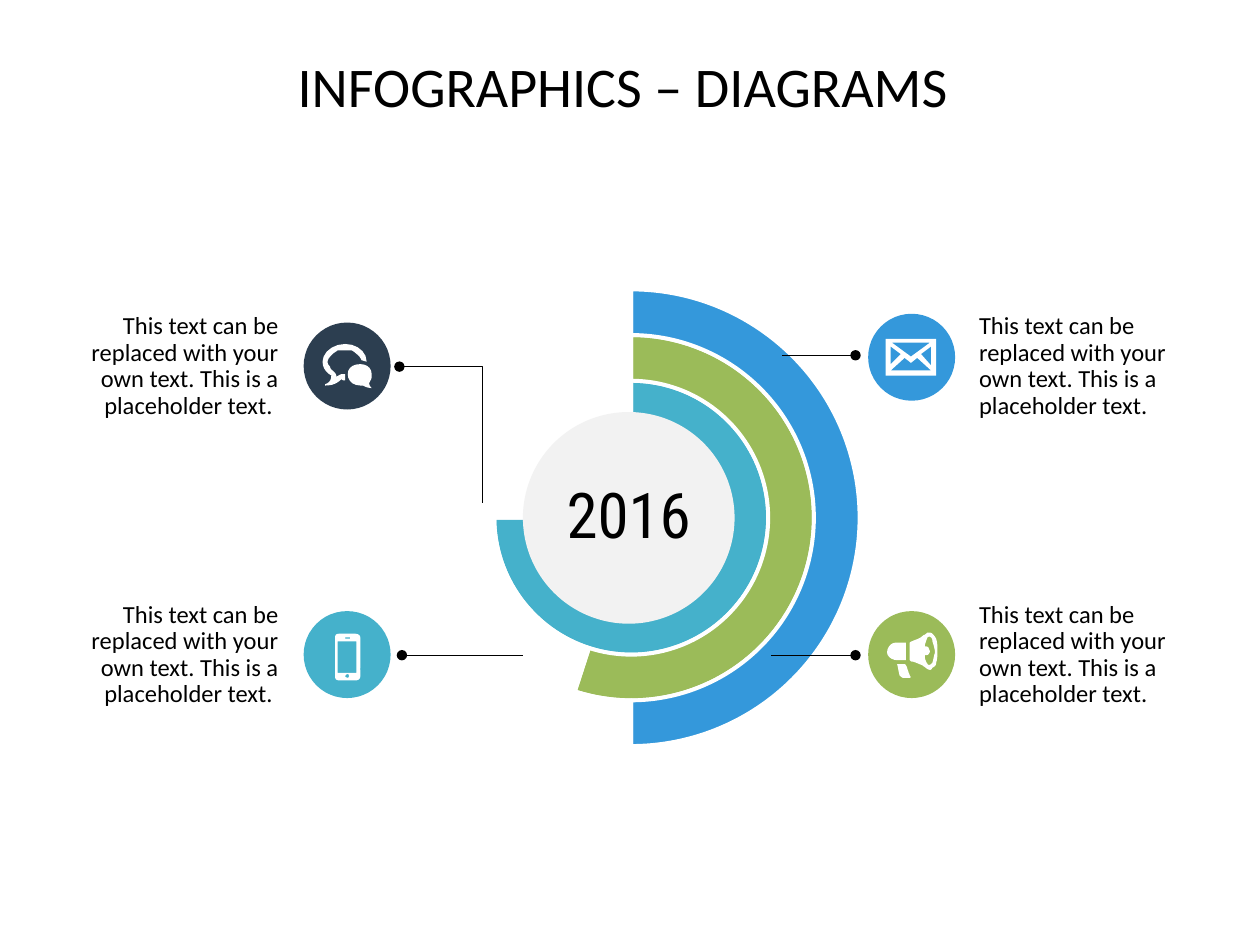
from lxml import etree
from pptx import Presentation
from pptx import util as u
from pptx.chart.data import CategoryChartData
from pptx.dml.color import RGBColor
from pptx.enum import chart as charts, shapes, text
from pptx.oxml.ns import qn

NAVY, TEAL, GREEN, BLUE = "2C3E50", "45B1CB", "9BBB59", "3498DB"
BLACK, WHITE, PALE = "000000", "FFFFFF", "F2F2F2"
PLACEHOLDER = "This text can be replaced with your own text. This is a placeholder text."
LEFT, CENTER, RIGHT = text.PP_ALIGN.LEFT, text.PP_ALIGN.CENTER, text.PP_ALIGN.RIGHT


def curve(start, *bends, steps=5):
    points = [start]
    for x1, y1, x2, y2, x3, y3 in bends:
        x0, y0 = points[-1]
        for step in range(1, steps + 1):
            t = step / steps
            weights = ((1 - t) ** 3, 3 * t * (1 - t) ** 2, 3 * t * t * (1 - t), t ** 3)
            points.append((sum(w * x for w, x in zip(weights, (x0, x1, x2, x3))),
                           sum(w * y for w, y in zip(weights, (y0, y1, y2, y3)))))
    return points


def box(left, top, right, bottom):
    return [(left, top), (right, top), (right, bottom), (left, bottom)]


ENVELOPE = [
    box(7.03, 2.69, 7.43, 2.98),
    [(7.18, 2.84), (7.07, 2.94), (7.39, 2.94), (7.28, 2.84), (7.23, 2.88)],
    [(7.08, 2.72), (7.23, 2.83), (7.38, 2.72)],
    [(7.39, 2.9), (7.39, 2.75), (7.31, 2.81)],
    [(7.15, 2.81), (7.07, 2.75), (7.07, 2.89)],
]
HORN = [
    curve((7.22, 5.24), (7.22, 5.19, 7.22, 5.14, 7.22, 5.1), (7.23, 5.09, 7.24, 5.09, 7.26, 5.08),
          (7.29, 5.07, 7.31, 5.06, 7.33, 5.04), (7.34, 5.04, 7.35, 5.03, 7.36, 5.02),
          (7.38, 5.02, 7.39, 5.02, 7.4, 5.03), (7.41, 5.04, 7.42, 5.05, 7.43, 5.07),
          (7.44, 5.1, 7.44, 5.13, 7.44, 5.17), (7.44, 5.2, 7.44, 5.23, 7.43, 5.26),
          (7.43, 5.28, 7.42, 5.29, 7.4, 5.3), (7.39, 5.32, 7.38, 5.32, 7.36, 5.31),
          (7.35, 5.3, 7.33, 5.29, 7.32, 5.28), (7.29, 5.27, 7.26, 5.25, 7.23, 5.25)),
    curve((7.34, 5.13), (7.35, 5.13, 7.36, 5.13, 7.37, 5.14), (7.37, 5.15, 7.38, 5.16, 7.38, 5.17),
          (7.38, 5.17, 7.38, 5.18, 7.37, 5.19), (7.37, 5.2, 7.35, 5.2, 7.34, 5.2),
          (7.34, 5.22, 7.34, 5.23, 7.35, 5.25), (7.35, 5.26, 7.36, 5.26, 7.36, 5.27),
          (7.37, 5.28, 7.38, 5.28, 7.39, 5.27), (7.39, 5.27, 7.4, 5.26, 7.4, 5.26),
          (7.41, 5.23, 7.41, 5.21, 7.42, 5.18), (7.42, 5.15, 7.41, 5.12, 7.4, 5.09),
          (7.4, 5.08, 7.4, 5.07, 7.39, 5.06), (7.38, 5.05, 7.37, 5.05, 7.36, 5.06),
          (7.35, 5.09, 7.34, 5.11, 7.34, 5.13)),
]
HORN_BACK = [
    curve((7.19, 5.1), (7.19, 5.15, 7.19, 5.19, 7.19, 5.24), (7.16, 5.24, 7.14, 5.24, 7.12, 5.24),
          (7.08, 5.24, 7.04, 5.21, 7.04, 5.18), (7.04, 5.14, 7.07, 5.1, 7.11, 5.1)),
]
HORN_GRIP = [
    curve((7.12, 5.27), (7.13, 5.27, 7.15, 5.27, 7.16, 5.27), (7.17, 5.27, 7.19, 5.27, 7.19, 5.28),
          (7.2, 5.29, 7.2, 5.31, 7.21, 5.33), (7.21, 5.34, 7.22, 5.35, 7.22, 5.36),
          (7.23, 5.37, 7.23, 5.38, 7.22, 5.38), (7.2, 5.38, 7.18, 5.38, 7.17, 5.38),
          (7.16, 5.38, 7.15, 5.37, 7.14, 5.36), (7.13, 5.33, 7.13, 5.3, 7.12, 5.27)),
]
BUBBLES = [
    curve((2.93, 3.04), (2.93, 3.06, 2.94, 3.07, 2.95, 3.08), (2.92, 3.08, 2.9, 3.07, 2.88, 3.06),
          (2.88, 3.06, 2.87, 3.06, 2.86, 3.06), (2.8, 3.06, 2.76, 3.02, 2.76, 2.97),
          (2.76, 2.92, 2.8, 2.89, 2.86, 2.89), (2.91, 2.89, 2.95, 2.92, 2.95, 2.97),
          (2.95, 2.99, 2.95, 3.01, 2.94, 3.02)),
    curve((2.64, 2.81), (2.62, 2.83, 2.6, 2.85, 2.6, 2.87), (2.6, 2.89, 2.61, 2.9, 2.62, 2.91),
          (2.62, 2.93, 2.64, 2.94, 2.65, 2.95), (2.66, 2.96, 2.67, 2.97, 2.67, 2.99),
          (2.69, 2.98, 2.7, 2.97, 2.71, 2.97), (2.72, 2.97, 2.73, 2.97, 2.74, 2.97),
          (2.74, 3.02, 2.74, 3.02, 2.74, 3.02), (2.73, 3.02, 2.72, 3.02, 2.71, 3.01),
          (2.67, 3.05, 2.63, 3.06, 2.58, 3.06), (2.58, 3.05, 2.58, 3.05, 2.58, 3.05),
          (2.61, 3.04, 2.63, 3.02, 2.63, 2.98), (2.59, 2.96, 2.56, 2.92, 2.56, 2.87),
          (2.56, 2.8, 2.64, 2.73, 2.74, 2.73), (2.83, 2.73, 2.91, 2.79, 2.91, 2.87),
          (2.9, 2.87, 2.88, 2.86, 2.87, 2.86), (2.86, 2.84, 2.85, 2.82, 2.83, 2.81),
          (2.82, 2.8, 2.81, 2.79, 2.79, 2.78), (2.77, 2.78, 2.75, 2.78, 2.74, 2.78),
          (2.72, 2.78, 2.7, 2.78, 2.68, 2.78), (2.67, 2.79, 2.65, 2.8, 2.64, 2.81)),
]
PHONE = [
    curve((2.86, 5.22), (2.86, 5.27, 2.86, 5.32, 2.86, 5.37), (2.86, 5.39, 2.84, 5.4, 2.83, 5.4),
          (2.78, 5.4, 2.74, 5.4, 2.69, 5.4), (2.67, 5.4, 2.66, 5.39, 2.66, 5.37),
          (2.66, 5.27, 2.66, 5.16, 2.66, 5.06), (2.66, 5.04, 2.67, 5.03, 2.69, 5.03),
          (2.74, 5.03, 2.78, 5.03, 2.82, 5.03), (2.84, 5.03, 2.86, 5.04, 2.86, 5.06)),
    box(2.68, 5.09, 2.83, 5.34),
    curve((2.77, 5.37), (2.77, 5.36, 2.77, 5.35, 2.76, 5.35), (2.75, 5.35, 2.74, 5.36, 2.74, 5.37),
          (2.74, 5.37, 2.75, 5.38, 2.76, 5.38), (2.77, 5.38, 2.77, 5.37, 2.77, 5.37)),
    box(2.74, 5.06, 2.78, 5.07),
]


def rgb(value):
    return RGBColor.from_string(value)


def assign(target, values):
    for key, value in values.items():
        setattr(target, key, value)


def paint(shape, color):
    shape.shadow.inherit = False
    shape.fill.solid()
    shape.fill.fore_color.rgb = rgb(color)
    shape.line.fill.background()


def write(shape, wording, size, align, anchor, inset=(0, 0), after=0, font="Calibri"):
    frame = shape.text_frame
    side, edge = map(u.Inches, inset)
    assign(frame, {"word_wrap": True, "vertical_anchor": anchor, "margin_left": side,
                   "margin_right": side, "margin_top": edge, "margin_bottom": edge})
    paragraph = frame.paragraphs[0]
    assign(paragraph, {"text": wording, "alignment": align, "line_spacing": 0.9,
                       "space_after": u.Pt(after)})
    assign(paragraph.font, {"name": font, "size": u.Pt(size)})
    paragraph.font.color.rgb = rgb(BLACK)


def add_text(slide, place, wording, *style, **options):
    write(slide.shapes.add_textbox(*map(u.Inches, place)), wording, *style, **options)


def add_circle(slide, left, top, size, color):
    circle = slide.shapes.add_shape(shapes.MSO_SHAPE.OVAL, *map(u.Inches, (left, top, size, size)))
    paint(circle, color)
    return circle


def add_outline(slide, contours, close=True):
    contours = [[tuple(map(u.Inches, point)) for point in contour] for contour in contours]
    builder = slide.shapes.build_freeform(*contours[0][0])
    for index, (start, *rest) in enumerate(contours):
        if index:
            builder.move_to(*start)
        builder.add_line_segments(rest, close=close)
    return builder.convert_to_shape()


def add_icon(slide, contours):
    paint(add_outline(slide, contours), WHITE)


def end_with_dot(leader):
    leader.line.width = u.Pt(0.5)
    leader.line.color.rgb = rgb(BLACK)
    properties = leader.line._get_or_add_ln()
    etree.SubElement(properties, qn("a:tailEnd"), type="oval")


def add_leader(slide, start, end):
    leader = slide.shapes.add_connector(shapes.MSO_CONNECTOR.STRAIGHT,
                                        *map(u.Inches, start + end))
    end_with_dot(leader)
    etree.SubElement(leader._element.spPr, qn("a:effectLst"))


def add_bent_leader(slide, points):
    leader = add_outline(slide, [points], close=False)
    leader.shadow.inherit = False
    leader.fill.background()
    end_with_dot(leader)


def add_rings(slide):
    data = CategoryChartData()
    data.categories = ["1", "2"]
    shares = (85, 75, 55, 50)
    for number, share in enumerate(shares, 1):
        data.add_series(f"Series {number}", (share, 100 - share))
    rings = slide.shapes.add_chart(charts.XL_CHART_TYPE.DOUGHNUT,
                                   *map(u.Inches, (2.43, 2.14, 5.11, 3.94)), data).chart
    assign(rings, {"has_legend": False, "has_title": False})
    assign(rings.font, {"name": "Calibri", "size": u.Pt(18)})
    rings.font.color.rgb = rgb(BLACK)
    for ring, color in zip(rings.plots[0].series, (NAVY, TEAL, GREEN, BLUE)):
        filled, rest = (ring.points[index].format for index in range(2))
        filled.fill.solid()
        filled.fill.fore_color.rgb = rgb(color)
        rest.fill.background()
        for part in (filled, rest):
            part.line.width = u.Pt(2.25)
            part.line.color.rgb = rgb(WHITE)
    area = rings._chartSpace.find(".//" + qn("c:plotArea"))
    area.find(".//" + qn("c:holeSize")).set("val", "57")
    layout = area.find(qn("c:layout"))
    if layout is None:
        layout = etree.Element(qn("c:layout"))
        area.insert(0, layout)
    manual = etree.SubElement(layout, qn("c:manualLayout"))
    for tag, value in (("layoutTarget", "inner"), ("xMode", "edge"), ("yMode", "edge"),
                       ("x", "0.15"), ("y", "0.04"), ("w", "0.71"), ("h", "0.92")):
        etree.SubElement(manual, qn("c:" + tag), val=value)


def main():
    deck = Presentation()
    assign(deck, {"slide_width": u.Inches(10), "slide_height": u.Inches(7.5)})
    slide = deck.slides.add_slide(deck.slide_layouts[6])
    add_text(slide, (0.43, 0.47, 9.13, 1.18), "INFOGRAPHICS – DIAGRAMS ", 32, CENTER,
             text.MSO_ANCHOR.TOP)
    add_rings(slide)
    year = add_circle(slide, 4.15, 3.27, 1.68, PALE)
    write(year, "2016", 36, CENTER, text.MSO_ANCHOR.MIDDLE, inset=(0.1, 0.05), after=10,
          font="Roboto Condensed")
    for left, top, wording, align in ((7.57, 2.31, PLACEHOLDER, LEFT),
                                      (7.57, 4.6, PLACEHOLDER, LEFT),
                                      (0.43, 2.31, PLACEHOLDER + " ", RIGHT),
                                      (0.43, 4.6, PLACEHOLDER + " ", RIGHT)):
        add_text(slide, (left, top, 1.98, 1.2), wording, 14, align, text.MSO_ANCHOR.MIDDLE,
                 inset=(0.2, 0), after=10)
    for left, top, color, icons in ((6.89, 2.49, BLUE, [ENVELOPE]),
                                    (6.89, 4.85, GREEN, [HORN, HORN_BACK, HORN_GRIP]),
                                    (2.41, 2.56, NAVY, [BUBBLES]),
                                    (2.41, 4.85, TEAL, [PHONE])):
        add_circle(slide, left, top, 0.69, color)
        for icon in icons:
            add_icon(slide, icon)
    for start, end in (((6.21, 2.82), (6.79, 2.82)), ((6.12, 5.2), (6.79, 5.2)),
                       ((4.15, 5.2), (3.19, 5.2))):
        add_leader(slide, start, end)
    add_bent_leader(slide, [(3.83, 3.99), (3.83, 2.91), (3.17, 2.91)])
    deck.save("out.pptx")


if __name__ == "__main__":
    main()
